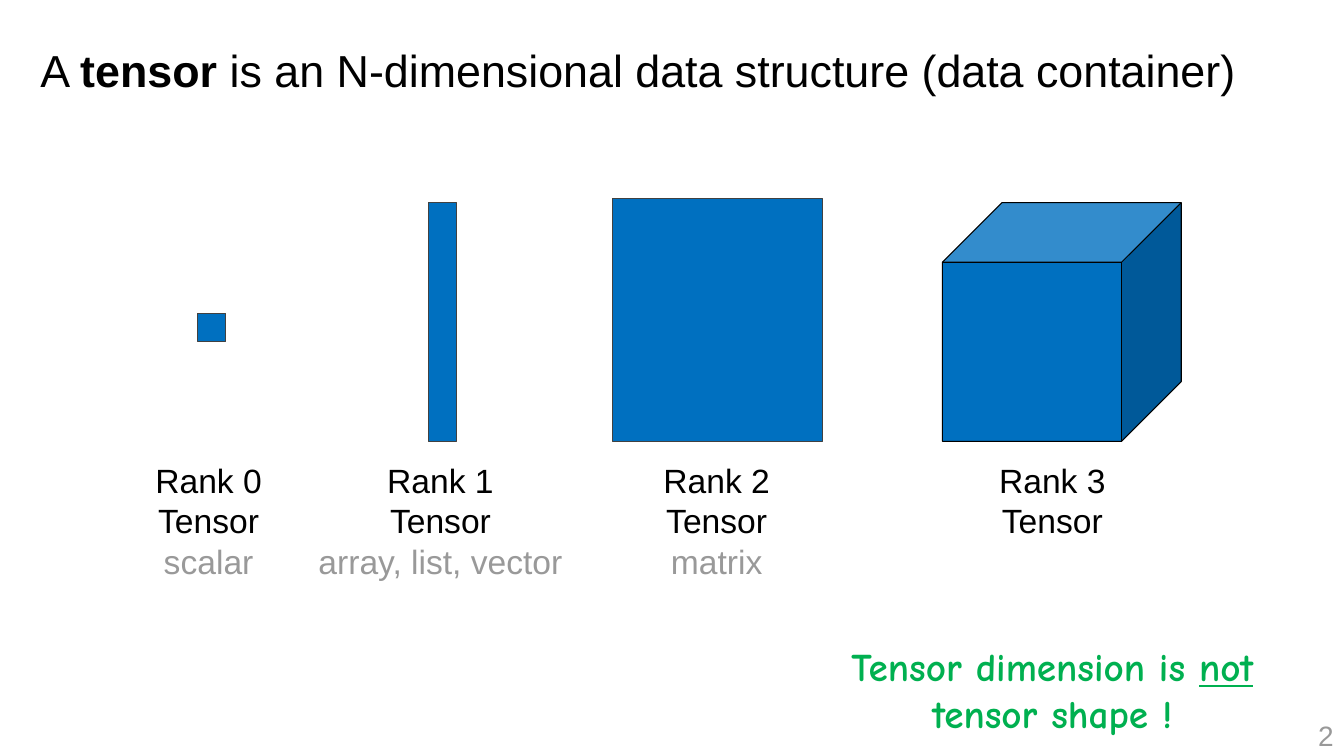
"""Build a slide that introduces tensors of rank 0 to 3."""
from pptx import Presentation
from pptx.dml.color import RGBColor
from pptx.enum import shapes, text
from pptx.util import Pt

COLORS = {"black": "000000", "gray": "999999", "blue": "0070C0",
          "outline": "414141", "green": "00B050"}
LABEL_TOP, LABEL_HEIGHT = 319, 79.2
RECTANGLE, CUBE = shapes.MSO_SHAPE.RECTANGLE, shapes.MSO_SHAPE.CUBE

TENSORS = [
    (RECTANGLE, (141.1, 223.9, 20.2, 20.2), "outline",
     (98.6, 100.8), "Rank 0 Tensor", "scalar"),
    (RECTANGLE, (306, 144.7, 20.2, 170.6), "outline",
     (209.5, 210.2), "Rank 1\vTensor", "array, list, vector"),
    (RECTANGLE, (437.8, 141.8, 149.8, 173.5), "outline",
     (461.5, 100.8), "Rank 2 Tensor", "matrix"),
    (CUBE, (673.2, 144.7, 170.6, 170.6), "black",
     (701.3, 100.8), "Rank 3 Tensor", None),
]


def color(name):
    return RGBColor.from_string(COLORS[name])


def format_paragraph(paragraph, size, color_name, alignment, name="Arial", bold=False):
    paragraph.alignment = alignment
    font = paragraph.font
    font.size, font.name, font.bold = Pt(size), name, bold
    font.color.rgb = color(color_name)


def set_margins(frame, left, top, right, bottom):
    frame.margin_left, frame.margin_top = Pt(left), Pt(top)
    frame.margin_right, frame.margin_bottom = Pt(right), Pt(bottom)


def add_text_frame(slide, box):
    frame = slide.shapes.add_textbox(*map(Pt, box)).text_frame
    frame.word_wrap = True
    return frame


def set_title(slide):
    title = slide.shapes.title
    title.left, title.top, title.width, title.height = map(Pt, (0, 0, 960, 104.4))
    frame = title.text_frame
    frame.auto_size = text.MSO_AUTO_SIZE.NONE
    frame.vertical_anchor = text.MSO_ANCHOR.MIDDLE
    set_margins(frame, 28.8, 3.6, 7.2, 3.6)
    paragraph = frame.paragraphs[0]
    for part in ("A ", "tensor", " is an N-dimensional data structure (data container)"):
        run = paragraph.add_run()
        run.text = part
        if part == "tensor":
            run.font.bold = True
    format_paragraph(paragraph, 32, "black", text.PP_ALIGN.LEFT)
    paragraph.line_spacing = 0.9


def add_tensor(slide, kind, box, line_color):
    shape = slide.shapes.add_shape(kind, *map(Pt, box))
    shape.shadow.inherit = False
    shape.fill.solid()
    shape.fill.fore_color.rgb = color("blue")
    shape.line.color.rgb = color(line_color)
    shape.line.width = Pt(0.75)


def add_label(slide, left, width, rank, example):
    frame = add_text_frame(slide, (left, LABEL_TOP, width, LABEL_HEIGHT))
    set_margins(frame, 9.6, 9.6, 9.6, 9.6)
    paragraph = frame.paragraphs[0]
    paragraph.text = rank
    format_paragraph(paragraph, 24, "black", text.PP_ALIGN.CENTER)
    if example:
        paragraph = frame.add_paragraph()
        paragraph.text = example
        format_paragraph(paragraph, 24, "gray", text.PP_ALIGN.CENTER)


def add_remark(slide):
    frame = add_text_frame(slide, (568.1, 455, 367.2, 74.9))
    paragraph = frame.paragraphs[0]
    for part in ("Tensor dimension is ", "not", " tensor shape !"):
        run = paragraph.add_run()
        run.text = part
        if part == "not":
            run.font.underline = True
    format_paragraph(paragraph, 28, "green", text.PP_ALIGN.CENTER, "Comic Neue", True)


def add_page_number(slide, number):
    frame = add_text_frame(slide, (743.8, 510.5, 216, 28.8))
    frame.vertical_anchor = text.MSO_ANCHOR.MIDDLE
    paragraph = frame.paragraphs[0]
    paragraph.text = number
    format_paragraph(paragraph, 20, "gray", text.PP_ALIGN.RIGHT)


def main():
    presentation = Presentation()
    presentation.slide_width, presentation.slide_height = Pt(960), Pt(540)
    slide = presentation.slides.add_slide(presentation.slide_layouts[5])
    set_title(slide)
    for kind, box, line_color, (left, width), rank, example in TENSORS:
        add_tensor(slide, kind, box, line_color)
        add_label(slide, left, width, rank, example)
    add_remark(slide)
    add_page_number(slide, "2")
    presentation.save("out.pptx")


if __name__ == "__main__":
    main()
